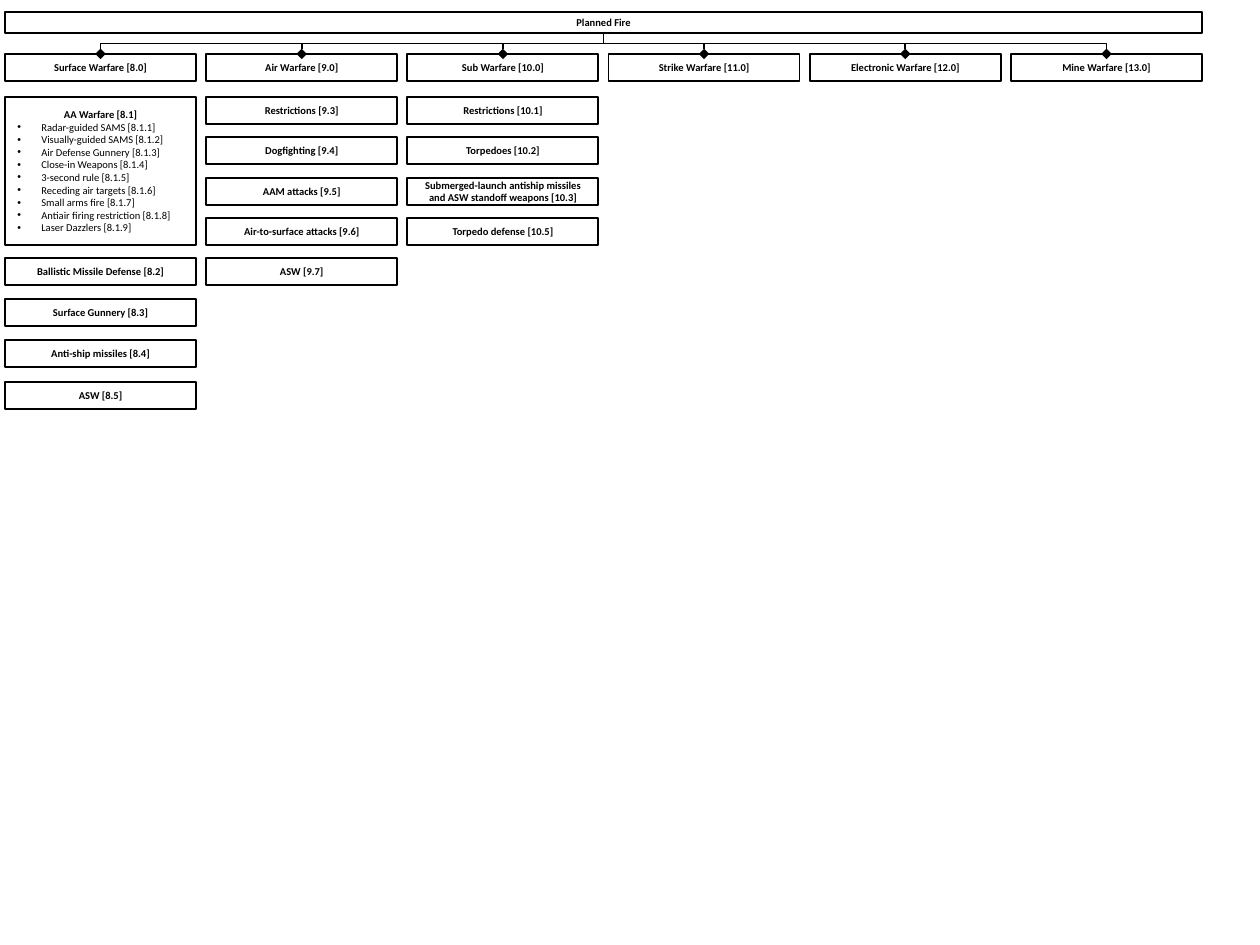
from lxml import etree
from pptx import Presentation
from pptx import util as u
from pptx.dml import color
from pptx.enum import shapes, text
from pptx.oxml import ns

BLACK, WHITE = "000000", "FFFFFF"
ROW_TOPS = (97, 137, 178, 218, 258, 299, 340, 382)
BOX_WIDTH, BOX_HEIGHT = 191, 27
ORG = (5, 12, 1197, 21)
HEADER_TOP = 54
AA_RULES = (
    "Radar-guided SAMS [8.1.1]", "Visually-guided SAMS [8.1.2]",
    "Air Defense Gunnery [8.1.3]", "Close-in Weapons [8.1.4]",
    "3-second rule [8.1.5]", "Receding air targets [8.1.6]",
    "Small arms fire [8.1.7]", "Antiair firing restriction [8.1.8]",
    "Laser Dazzlers [8.1.9]",
)
WARFARE = {
    "Surface Warfare [8.0]": {
        4: "Ballistic Missile Defense [8.2]", 5: "Surface Gunnery [8.3]",
        6: "Anti-ship missiles [8.4]", 7: "ASW [8.5]"},
    "Air Warfare [9.0]": {
        0: "Restrictions [9.3]", 1: "Dogfighting [9.4]", 2: "AAM attacks [9.5]",
        3: "Air-to-surface attacks [9.6]", 4: "ASW [9.7]"},
    "Sub Warfare [10.0]": {
        0: "Restrictions [10.1]", 1: "Torpedoes [10.2]",
        2: "Submerged-launch antiship missiles and ASW standoff weapons [10.3]",
        3: "Torpedo defense [10.5]"},
    "Strike Warfare [11.0]": {},
    "Electronic Warfare [12.0]": {},
    "Mine Warfare [13.0]": {},
}


def px(length):
    """Turn px into EMU."""
    return u.Emu(round(length * 914400 / 126))


def rgb(value):
    """Turn a hex string into a colour."""
    return color.RGBColor.from_string(value)


def apply(target, values):
    """Set each attribute of target from a dict."""
    for name, value in values.items():
        setattr(target, name, value)


def outline(part):
    """Give a box or connector its black line."""
    part.line.color.rgb = rgb(BLACK)
    part.line.width = u.Pt(1)


def write(paragraph, wording, bold, align):
    """Write one line of text in a paragraph."""
    paragraph.alignment = align
    run = paragraph.add_run()
    run.text = wording
    apply(run.font, {"name": "Calibri", "size": u.Pt(6), "bold": bold})
    run.font.color.rgb = rgb(BLACK)


def add_box(slide, left, top, width, height, heading, rules=()):
    """Add a white box with a bold heading and optional bulleted rules."""
    box = slide.shapes.add_shape(
        shapes.MSO_SHAPE.RECTANGLE, px(left), px(top), px(width), px(height))
    box.shadow.inherit = False
    box.fill.solid()
    box.fill.fore_color.rgb = rgb(WHITE)
    outline(box)
    frame = box.text_frame
    apply(frame, {"word_wrap": True, "vertical_anchor": text.MSO_ANCHOR.MIDDLE})
    write(frame.paragraphs[0], heading, True, text.PP_ALIGN.CENTER)
    for rule in rules:
        paragraph = frame.add_paragraph()
        write(paragraph, rule, False, text.PP_ALIGN.LEFT)
        props = paragraph._p.get_or_add_pPr()
        props.set("marL", str(px(24)))
        props.set("indent", str(px(-24)))
        etree.SubElement(props, ns.qn("a:buFont"), typeface="Arial")
        etree.SubElement(props, ns.qn("a:buChar"), char="•")
    return box


def add_branch(slide, org, header):
    """Join the top box to a header with an elbow ending in a diamond."""
    start_x, start_y = org.left + org.width // 2, org.top + org.height
    end_x, end_y = header.left + header.width // 2, header.top
    branch = slide.shapes.add_connector(
        shapes.MSO_CONNECTOR.ELBOW, start_x, start_y, end_x, end_y)
    branch.begin_connect(org, 2)
    branch.end_connect(header, 0)
    drop, reach = end_y - start_y, abs(end_x - start_x)
    apply(branch, {
        "left": (start_x + end_x - drop) // 2, "top": (start_y + end_y - reach) // 2,
        "width": drop, "height": reach})
    rightward = end_x > start_x
    props = branch._element.spPr
    frame = props.find(ns.qn("a:xfrm"))
    frame.set("rot", "16200000" if rightward else "5400000")
    frame.set("flipH", "1" if rightward else "0")
    outline(branch)
    etree.SubElement(branch.line._get_or_add_ln(), ns.qn("a:tailEnd"), type="diamond")
    etree.SubElement(props, ns.qn("a:effectLst"))


def add_column(slide, left, heading, topics):
    """Add a warfare header with its topics below and return the header."""
    header = add_box(slide, left, HEADER_TOP, BOX_WIDTH, BOX_HEIGHT, heading)
    for row, topic in topics.items():
        add_box(slide, left, ROW_TOPS[row], BOX_WIDTH, BOX_HEIGHT, topic)
    return header


def add_chart_tree(slide, left, top, width, height):
    """Add the top box, its warfare columns and the branches between."""
    org = add_box(slide, left, top, width, height, "Planned Fire")
    pitch = (width - BOX_WIDTH) / (len(WARFARE) - 1)
    headers = [add_column(slide, left + i * pitch, heading, topics)
               for i, (heading, topics) in enumerate(WARFARE.items())]
    add_box(slide, left, ROW_TOPS[0], BOX_WIDTH, ROW_TOPS[3] + BOX_HEIGHT - ROW_TOPS[0],
            "AA Warfare [8.1]", AA_RULES)
    for header in headers:
        add_branch(slide, org, header)


def main():
    """Build and save the slide."""
    deck = Presentation()
    apply(deck, {"slide_width": px(1260), "slide_height": px(945)})
    slide = deck.slides.add_slide(deck.slide_layouts[6])
    add_chart_tree(slide, *ORG)
    deck.save("out.pptx")


if __name__ == "__main__":
    main()
